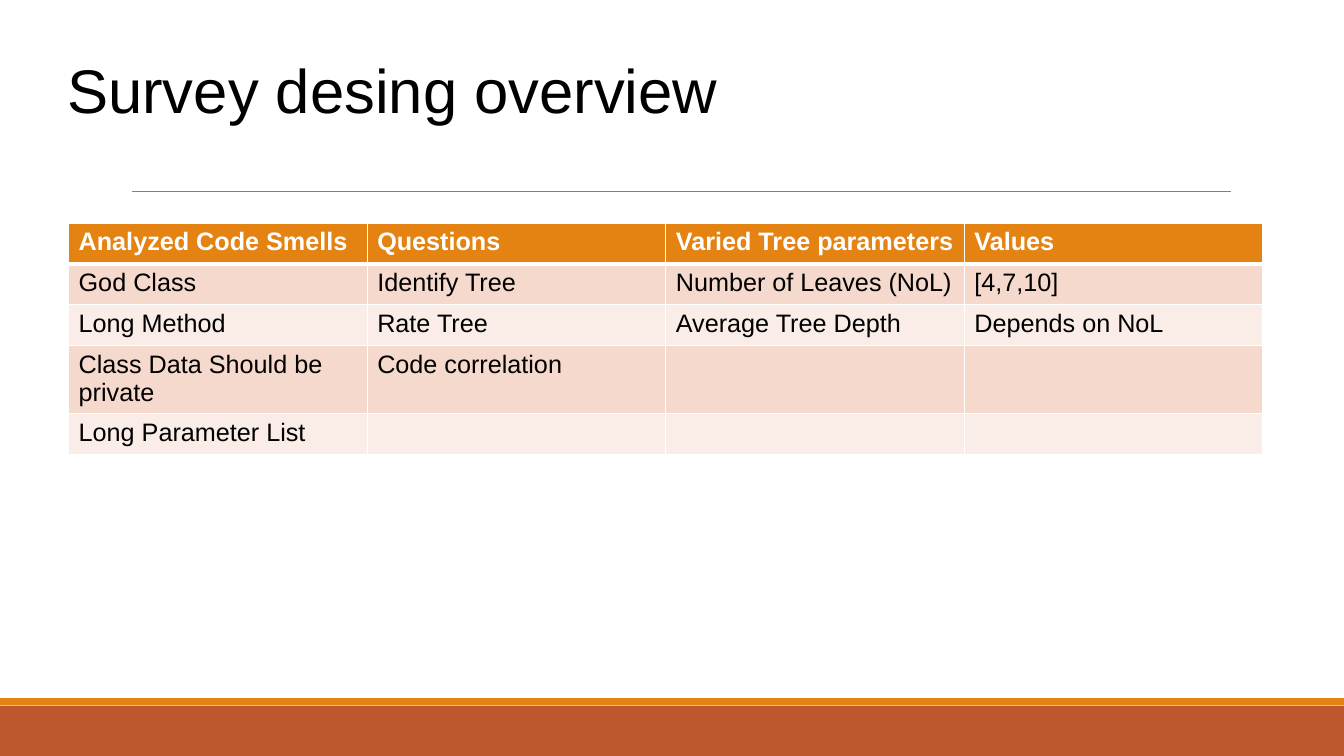
from lxml.etree import SubElement
from pptx import Presentation
from pptx.dml.color import RGBColor
from pptx.enum.shapes import MSO_CONNECTOR, MSO_SHAPE
from pptx.enum.text import MSO_ANCHOR, PP_ALIGN
from pptx.oxml.ns import qn
from pptx.util import Pt

WHITE = RGBColor(0xFF, 0xFF, 0xFF)
BLACK = RGBColor(0x00, 0x00, 0x00)
GREY = RGBColor(0x80, 0x80, 0x80)
ORANGE = RGBColor(0xE4, 0x83, 0x12)
RUST = RGBColor(0xBD, 0x58, 0x2C)
BAND_DARK = RGBColor(0xF5, 0xD9, 0xCC)
BAND_LIGHT = RGBColor(0xFA, 0xED, 0xE7)

FONT = "Arial"
PAGE_WIDTH, PAGE_HEIGHT = 960, 540
COLUMN_WIDTH = 213.3
ROW_HEIGHT, TWO_LINE_HEIGHT = 29.2, 48.6

SURVEY_ROWS = [
    ["Analyzed Code Smells", "Questions", "Varied Tree parameters", "Values"],
    ["God Class", "Identify Tree", "Number of Leaves (NoL)", "[4,7,10]"],
    ["Long Method", "Rate Tree", "Average Tree Depth", "Depends on NoL"],
    ["Class Data Should be private", "Code correlation", "", ""],
    ["Long Parameter List", "", "", ""],
]
TWO_LINE_ROW = 3


def write_text(frame, text, size=18, color=BLACK, bold=False, spacing=1.0):
    """Put one formatted, left-aligned paragraph into a text frame."""
    para = frame.paragraphs[0]
    para.alignment = PP_ALIGN.LEFT
    para.line_spacing = spacing
    para.font.size = Pt(size)
    if text:
        span = para.add_run()
        span.text = text
        span.font.name = FONT
        span.font.size = Pt(size)
        span.font.bold = bold
        span.font.color.rgb = color


def add_band(page, top, height, color):
    """Draw a plain band across the full page width."""
    band = page.shapes.add_shape(MSO_SHAPE.RECTANGLE, 0, Pt(top),
                                 Pt(PAGE_WIDTH), Pt(height))
    band.shadow.inherit = False
    band.fill.solid()
    band.fill.fore_color.rgb = color
    band.line.fill.background()


def add_rule(page, left, right, top):
    """Draw the thin horizontal rule under the title."""
    rule = page.shapes.add_connector(MSO_CONNECTOR.STRAIGHT, Pt(left), Pt(top),
                                     Pt(right), Pt(top))
    rule.line.color.rgb = GREY
    rule.line.width = Pt(0.5)
    SubElement(rule._element.spPr, qn("a:effectLst"))


def set_title(page, text):
    """Place and format the title placeholder."""
    title = page.shapes.title
    title.left, title.top = Pt(48), Pt(21.6)
    title.width, title.height = Pt(864), Pt(90)
    frame = title.text_frame
    frame.word_wrap = True
    frame.vertical_anchor = MSO_ANCHOR.MIDDLE
    frame.margin_left = frame.margin_right = 0
    frame.margin_top = frame.margin_bottom = 0
    write_text(frame, text, size=44, spacing=0.9)


def set_borders(cell, **widths):
    """Give a cell white borders; widths are in points, keyed by line tag."""
    properties = cell._tc.get_or_add_tcPr()
    for tag, width in widths.items():
        line = SubElement(properties, qn(f"a:{tag}"), w=str(Pt(width)))
        fill = SubElement(line, qn("a:solidFill"))
        SubElement(fill, qn("a:srgbClr"), val=str(WHITE))


def add_survey_table(page, left, top):
    """Build the banded table of survey design choices."""
    row_count, column_count = len(SURVEY_ROWS), len(SURVEY_ROWS[0])
    table = page.shapes.add_table(
        row_count, column_count, Pt(left), Pt(top),
        Pt(COLUMN_WIDTH * column_count), Pt(ROW_HEIGHT * row_count)).table
    for column in table.columns:
        column.width = Pt(COLUMN_WIDTH)
    for index, texts in enumerate(SURVEY_ROWS):
        tall = index == TWO_LINE_ROW
        table.rows[index].height = Pt(TWO_LINE_HEIGHT if tall else ROW_HEIGHT)
        header = index == 0
        band = ORANGE if header else BAND_DARK if index % 2 else BAND_LIGHT
        for cell, text in zip(table.rows[index].cells, texts):
            set_borders(cell, lnL=1, lnR=1, lnT=3 if index == 1 else 1,
                        lnB=3 if header else 1)
            cell.fill.solid()
            cell.fill.fore_color.rgb = band
            write_text(cell.text_frame, text, bold=header,
                       color=WHITE if header else BLACK)


def main():
    """Build and save the survey overview slide."""
    deck = Presentation()
    deck.slide_width, deck.slide_height = Pt(PAGE_WIDTH), Pt(PAGE_HEIGHT)
    page = deck.slides.add_slide(deck.slide_layouts[5])
    add_band(page, 504, 36, RUST)
    add_band(page, 498.7, 4.9, ORANGE)
    add_rule(page, 94.3, 879, 136.6)
    set_title(page, "Survey desing overview")
    add_survey_table(page, 49, 159.3)
    deck.save("out.pptx")


main()
